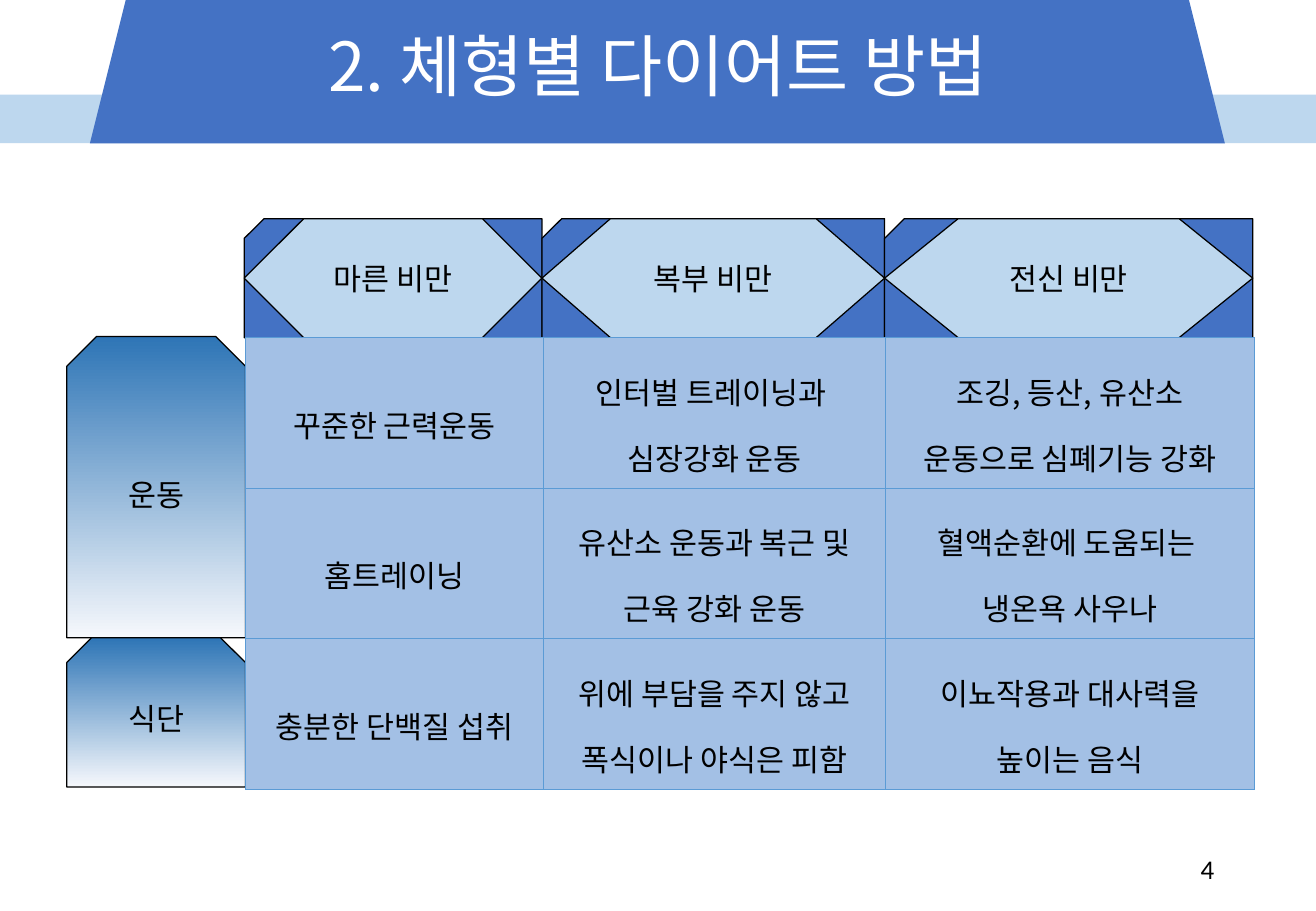
from lxml import etree
from pptx import Presentation
from pptx.dml.color import RGBColor
from pptx.enum import shapes, text
from pptx.oxml import ns
from pptx.util import Inches, Pt

TITLE = "2. 체형별 다이어트 방법"
PAGE_NUMBER = "4"
BODY_TYPES = ["마른 비만", "복부 비만", "전신 비만"]
CATEGORIES = [("운동", 2.77, 2.48), ("식단", 5.25, 1.23)]
METHODS = [
    ["꾸준한 근력운동", "인터벌 트레이닝과 \n심장강화 운동", "조깅, 등산, 유산소 운동으로 심폐기능 강화"],
    ["홈트레이닝", "유산소 운동과 복근 및 근육 강화 운동", "혈액순환에 도움되는 \n냉온욕 사우나"],
    ["충분한 단백질 섭취", "위에 부담을 주지 않고 폭식이나 야식은 피함", "이뇨작용과 대사력을 높이는 음식"],
]
COLORS = {
    "band": "BDD7EE", "banner": "4472C4", "deep": "2E75B6", "pale": "F6F8FC",
    "cell": "A3C0E5", "border": "5B9BD5", "ink": "000000", "white": "FFFFFF",
}
KOREAN = "Noto Sans CJK KR"
SLIDE_WIDTH = 10.83
TABLE_LEFT, TABLE_TOP = 2.02, 2.78
COLUMN_WIDTHS = [2.45, 2.82, 3.03]
ROW_HEIGHT = 1.24
HEADER_LEFT, HEADER_TOP, HEADER_HEIGHT = 2.01, 1.8, 0.98
CATEGORY_LEFT, CATEGORY_WIDTH = 0.55, 1.47


def rgb(name):
    return RGBColor.from_string(COLORS[name])


def write(frame, content, size=18, color="ink", font=KOREAN,
          align=text.PP_ALIGN.CENTER, spacing=None):
    frame.word_wrap = True
    frame.text = content
    for paragraph in frame.paragraphs:
        paragraph.alignment = align
        if spacing:
            paragraph.line_spacing = spacing
        for run in paragraph.runs:
            run.font.size = Pt(size)
            run.font.name = font
            run.font.color.rgb = rgb(color)
            latin = run.font._element.find(ns.qn("a:latin"))
            east_asian = etree.Element(ns.qn("a:ea"), typeface=font)
            latin.addnext(east_asian)


def add_block(preset, box, fill, outlined=True):
    block = slide.shapes.add_shape(preset, *map(Inches, box))
    block.shadow.inherit = False
    if isinstance(fill, tuple):
        block.fill.gradient()
        block.fill.gradient_angle = 270
        for stop, color in zip(block.fill.gradient_stops, fill):
            stop.color.rgb = rgb(color)
    else:
        block.fill.solid()
        block.fill.fore_color.rgb = rgb(fill)
    if outlined:
        block.line.color.rgb = rgb("ink")
        block.line.width = Pt(0.75)
    else:
        block.line.fill.background()
    block.text_frame.vertical_anchor = text.MSO_ANCHOR.MIDDLE
    return block


def add_borders(cell):
    properties = cell._tc.get_or_add_tcPr()
    for position, side in enumerate(("lnL", "lnR", "lnT", "lnB")):
        border = etree.Element(ns.qn(f"a:{side}"), w=str(Pt(0.5)))
        solid = etree.SubElement(border, ns.qn("a:solidFill"))
        etree.SubElement(solid, ns.qn("a:srgbClr"), val=COLORS["border"])
        properties.insert(position, border)


deck = Presentation()
deck.slide_width, deck.slide_height = Inches(SLIDE_WIDTH), Inches(7.5)
slide = deck.slides.add_slide(deck.slide_layouts[5])
preset = shapes.MSO_SHAPE

add_block(preset.RECTANGLE, (0, 0.78, SLIDE_WIDTH, 0.4), "band", outlined=False)
add_block(preset.TRAPEZOID, (0.74, -0.01, 9.34, 1.19), "banner", outlined=False)

title = slide.shapes.title
title.left, title.top = Inches(0), Inches(-0.01)
title.width, title.height = Inches(SLIDE_WIDTH), Inches(1.17)
title.text_frame.vertical_anchor = text.MSO_ANCHOR.MIDDLE
write(title.text_frame, TITLE, size=40, color="white", spacing=0.9)
slide.shapes._spTree.append(title._element)

for category, top, height in CATEGORIES:
    label = add_block(preset.SNIP_2_SAME_RECTANGLE,
                      (CATEGORY_LEFT, top, CATEGORY_WIDTH, height), ("deep", "pale"))
    write(label.text_frame, category)

for index, (body_type, width) in enumerate(zip(BODY_TYPES, COLUMN_WIDTHS)):
    box = (HEADER_LEFT + sum(COLUMN_WIDTHS[:index]), HEADER_TOP, width, HEADER_HEIGHT)
    backing = add_block(preset.SNIP_1_RECTANGLE, box, "banner")
    backing._element.spPr.find(ns.qn("a:xfrm")).set("flipH", "1")
    header = add_block(preset.FLOWCHART_PREPARATION, box, "band")
    write(header.text_frame, body_type)

methods = slide.shapes.add_table(
    len(METHODS), len(COLUMN_WIDTHS), Inches(TABLE_LEFT), Inches(TABLE_TOP),
    Inches(sum(COLUMN_WIDTHS)), Inches(ROW_HEIGHT * len(METHODS))).table
methods.first_row = methods.horz_banding = False
for column, width in zip(methods.columns, COLUMN_WIDTHS):
    column.width = Inches(width)
for row, entries in zip(methods.rows, METHODS):
    row.height = Inches(ROW_HEIGHT)
    for cell, entry in zip(row.cells, entries):
        cell.fill.solid()
        cell.fill.fore_color.rgb = rgb("cell")
        cell.vertical_anchor = text.MSO_ANCHOR.MIDDLE
        add_borders(cell)
        write(cell.text_frame, entry, spacing=1.5)

page_number = slide.shapes.add_textbox(Inches(7.65), Inches(6.95), Inches(2.44), Inches(0.4))
page_number.text_frame.vertical_anchor = text.MSO_ANCHOR.MIDDLE
write(page_number.text_frame, PAGE_NUMBER, size=16, font="Calibri", align=text.PP_ALIGN.RIGHT)

deck.save("out.pptx")
